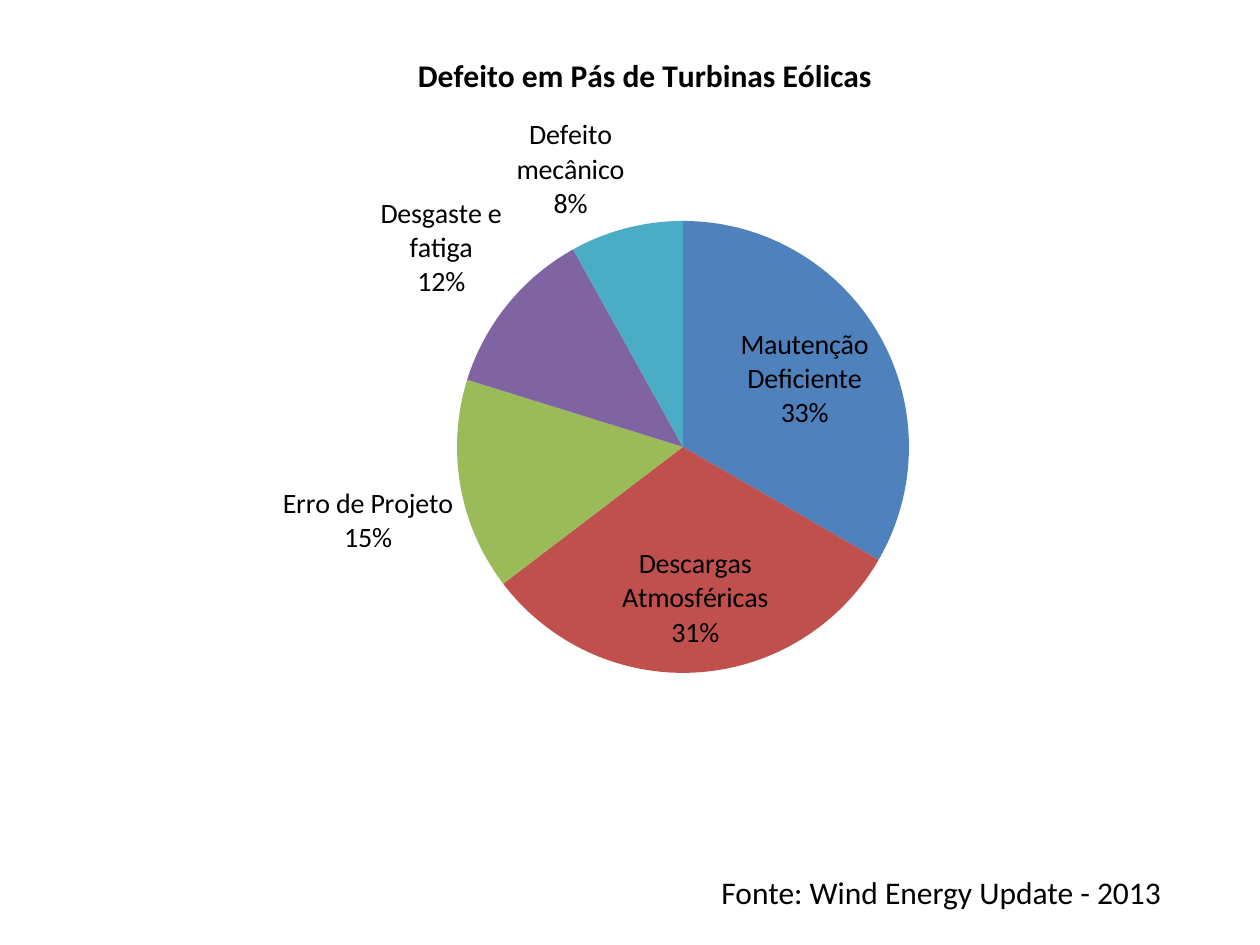
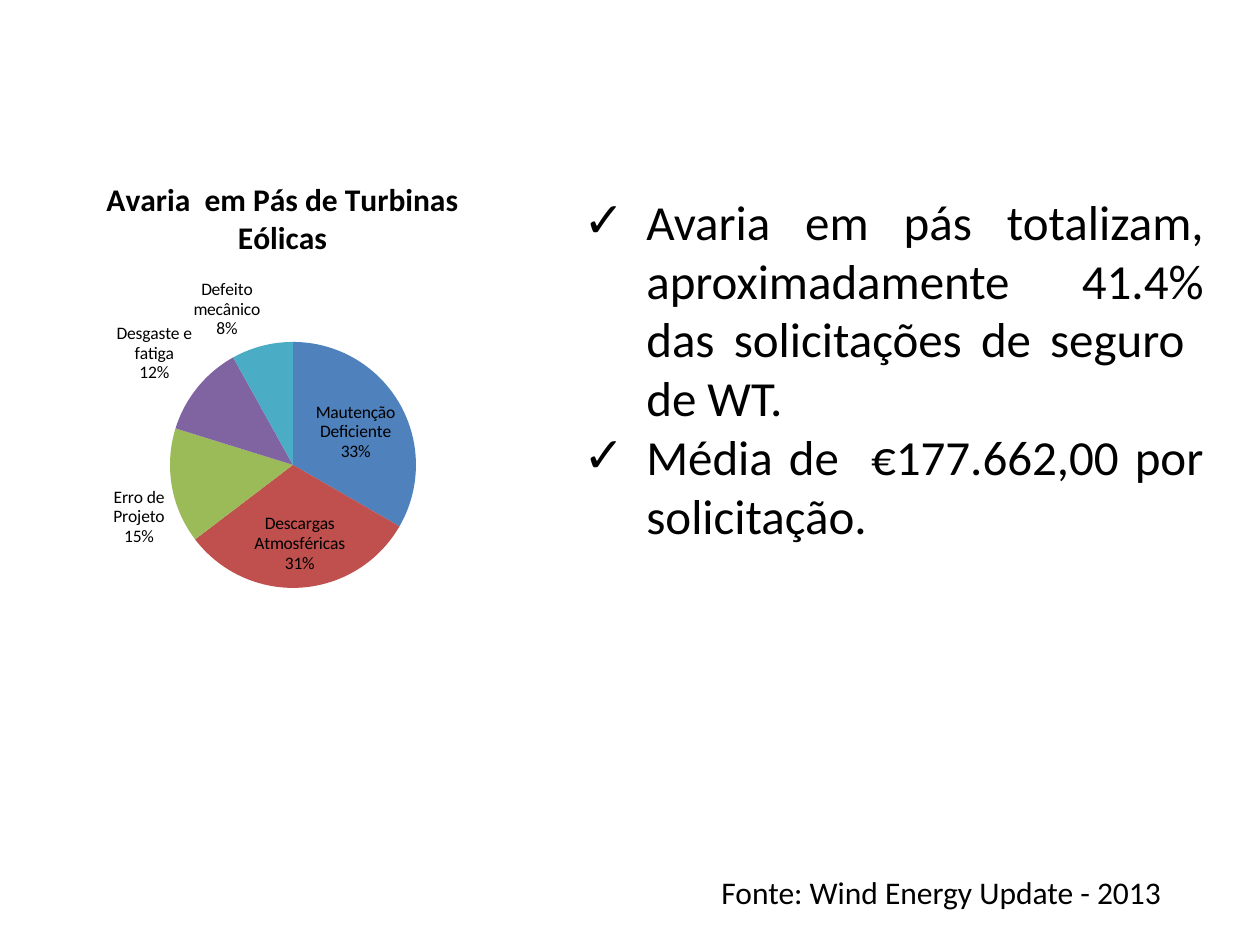
from lxml import etree
from pptx import Presentation
from pptx.chart.data import CategoryChartData
from pptx.dml.color import RGBColor
from pptx.enum.chart import XL_CHART_TYPE, XL_LABEL_POSITION
from pptx.enum.text import PP_ALIGN
from pptx.oxml.ns import qn
from pptx.util import Emu, Pt

PIE = XL_CHART_TYPE.PIE
BEST_FIT = XL_LABEL_POSITION.BEST_FIT
LEFT, JUSTIFY = PP_ALIGN.LEFT, PP_ALIGN.JUSTIFY
EMU_PER_PX = 914400 / 126
BLANK_LAYOUT = 6
FONT = "Calibri"
COLORS = {
    "text": "000000",
    "Mautenção Deficiente": "4F81BD",
    "Descargas Atmosféricas": "C0504D",
    "Erro de Projeto": "9BBB59",
    "Desgaste e fatiga": "8064A2",
    "Defeito mecânico": "4BACC6",
}
DEFECTS = {
    "Mautenção Deficiente": 33,
    "Descargas Atmosféricas": 31,
    "Erro de Projeto": 15,
    "Desgaste e fatiga": 12,
    "Defeito mecânico": 8,
}
SOURCE = "Fonte: Wind Energy Update - 2013"
FINDINGS = [
    "Avaria em pás totalizam, aproximadamente 41.4% das solicitações de seguro  de WT.",
    "Média de  €177.662,00 por solicitação.",
]


def px(length):
    return Emu(round(length * EMU_PER_PX))


def color(name):
    return RGBColor.from_string(COLORS[name])


class SlideBuilder:
    def __init__(self):
        self.deck = Presentation()
        self.deck.slide_width = px(1260)
        self.deck.slide_height = px(945)
        self.slide = None

    def new_slide(self):
        self.slide = self.deck.slides.add_slide(self.deck.slide_layouts[BLANK_LAYOUT])
        self.text([SOURCE], (709, 867, 525, 50), 18)

    def style(self, font, size, bold=False):
        font.name = FONT
        font.size = Pt(size)
        font.bold = bold
        font.color.rgb = color("text")

    def text(self, lines, place, size, align=LEFT, bullet=None):
        box = self.slide.shapes.add_textbox(*map(px, place))
        frame = box.text_frame
        frame.word_wrap = True
        for index, line in enumerate(lines):
            para = frame.paragraphs[0] if index == 0 else frame.add_paragraph()
            para.text = line
            para.alignment = align
            if bullet:
                self.bullet(para, bullet)
            self.style(para.font, size)

    def bullet(self, para, mark):
        indent = px(63)
        properties = para._p.get_or_add_pPr()
        properties.set("marL", str(indent))
        properties.set("indent", str(-indent))
        etree.SubElement(properties, qn("a:buFont"), typeface=FONT)
        etree.SubElement(properties, qn("a:buChar"), char=mark)

    def pie(self, title, place, circle, label_size):
        """Draw the defect shares; circle is the pie's left, top and diameter on the slide."""
        data = CategoryChartData()
        data.categories = list(DEFECTS)
        data.add_series("Series 1", list(DEFECTS.values()))
        chart = self.slide.shapes.add_chart(PIE, *map(px, place), data).chart
        self.style(chart.font, 10)
        chart.has_legend = False
        chart.has_title = True
        heading = chart.chart_title.text_frame
        heading.text = title
        self.style(heading.paragraphs[0].font, 18, bold=True)

        plot = chart.plots[0]
        plot.vary_by_categories = True
        for index, name in enumerate(DEFECTS):
            fill = plot.series[0].points[index].format.fill
            fill.solid()
            fill.fore_color.rgb = color(name)
        self.pie_labels(plot.series[0].data_labels, label_size)
        self.place_pie(chart, place, circle)

    def pie_labels(self, labels, size):
        self.style(labels.font, size)
        labels.show_category_name = True
        labels.show_percentage = True
        labels.show_value = False
        labels.position = BEST_FIT
        separator = etree.Element(qn("c:separator"))
        separator.text = "\n"
        flags = labels._element
        last_flag = flags.find(qn("c:showBubbleSize"))
        if last_flag is None:
            last_flag = flags.find(qn("c:showPercent"))
        last_flag.addnext(separator)

    def place_pie(self, chart, place, circle):
        left, top, width, height = place
        pie_left, pie_top, diameter = circle
        area = chart._chartSpace.find(".//" + qn("c:plotArea"))
        for old_layout in area.findall(qn("c:layout")):
            area.remove(old_layout)
        layout = etree.Element(qn("c:layout"))
        area.insert(0, layout)
        manual = etree.SubElement(layout, qn("c:manualLayout"))
        settings = {
            "layoutTarget": "inner",
            "xMode": "edge",
            "yMode": "edge",
            "x": (pie_left - left) / width,
            "y": (pie_top - top) / height,
            "w": diameter / width,
            "h": diameter / height,
        }
        for tag, value in settings.items():
            etree.SubElement(manual, qn("c:" + tag), val=str(value))


def main():
    builder = SlideBuilder()

    builder.new_slide()
    builder.pie("Defeito em Pás de Turbinas Eólicas", (174, 26, 942, 774), (457, 221, 452), 16)

    builder.new_slide()
    builder.pie("Avaria  em Pás de Turbinas Eólicas", (25, 155, 515, 515), (170, 342, 246), 10)
    builder.text(FINDINGS, (571, 185, 645, 369), 28, JUSTIFY, "✓")

    builder.deck.save("out.pptx")


if __name__ == "__main__":
    main()
